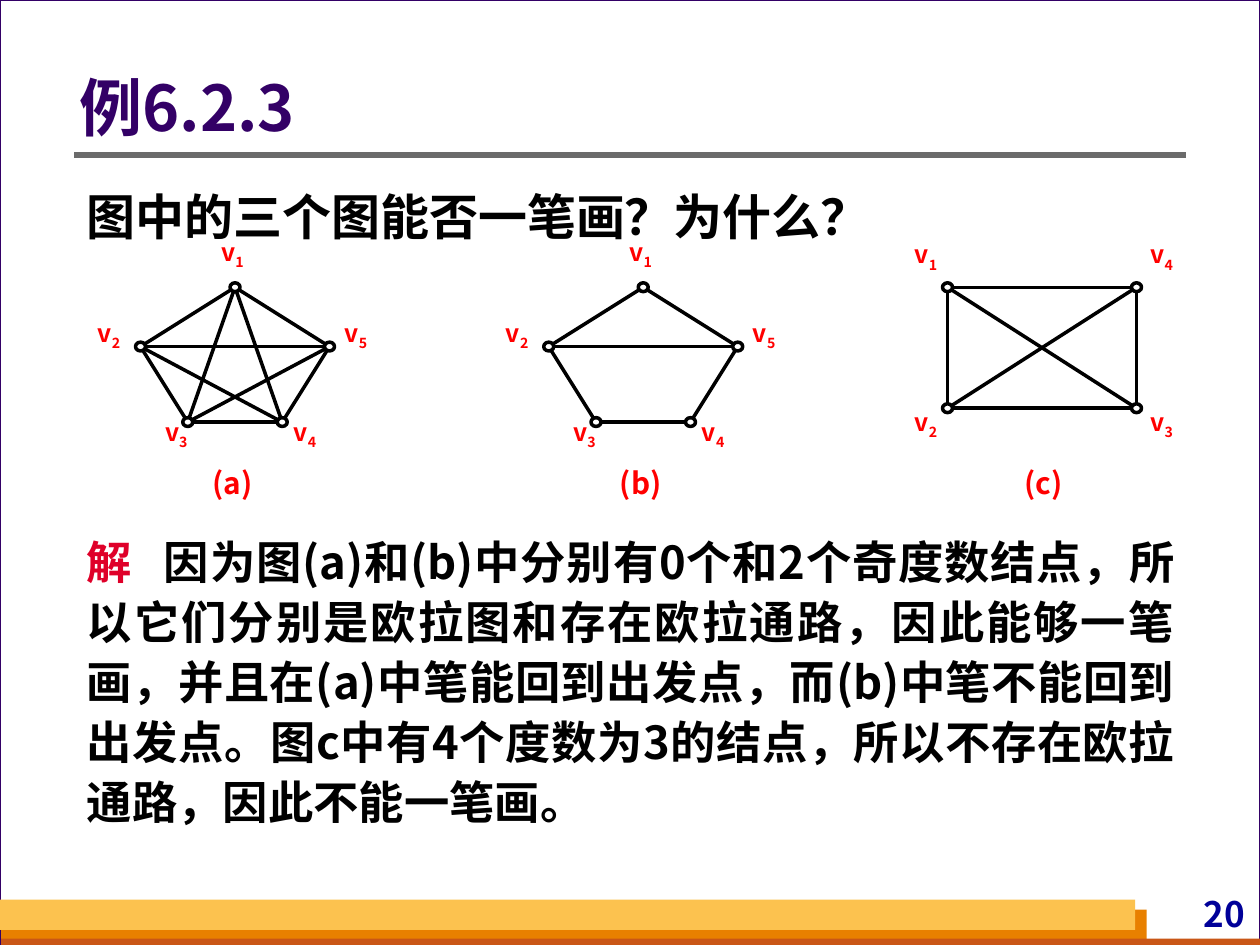
import pptx
import pptx.util
import pptx.dml.color
import pptx.enum.shapes
import pptx.enum.text
import pptx.oxml.ns
from lxml import etree

FONT = "Noto Sans CJK SC"
BLACK, WHITE, RED = "000000", "FFFFFF", "FF0000"
PURPLE = "330066"
ALIGN = pptx.enum.text.PP_ALIGN
ANCHOR = pptx.enum.text.MSO_ANCHOR
SHAPES = pptx.enum.shapes.MSO_SHAPE
qn = pptx.oxml.ns.qn

# Square grid: 100 columns by 75 rows
deck = pptx.Presentation()
deck.slide_width = pptx.util.Inches(10)
deck.slide_height = pptx.util.Inches(7.5)
CELL = deck.slide_width / 100
page = deck.slides.add_slide(deck.slide_layouts[6])


def grid(*cells):
    return [round(cell * CELL) for cell in cells]


def color(hex_text):
    return pptx.dml.color.RGBColor.from_string(hex_text)


def add_area(kind, box, fill, line=None, width=0.75):
    area = page.shapes.add_shape(kind, *grid(*box))
    area.shadow.inherit = False
    area.fill.solid()
    area.fill.fore_color.rgb = color(fill)
    if line:
        area.line.color.rgb = color(line)
        area.line.width = pptx.util.Pt(width)
    else:
        area.line.fill.background()


def add_line(start, end, line=BLACK, width=2):
    rule = page.shapes.add_connector(
        pptx.enum.shapes.MSO_CONNECTOR.STRAIGHT, *grid(*start, *end))
    rule.line.color.rgb = color(line)
    rule.line.width = pptx.util.Pt(width)
    etree.SubElement(rule._element.spPr, qn("a:effectLst"))


def add_text(box, text, size, ink, align=ALIGN.LEFT, spacing=1.0,
             insets=(0, 0), anchor=ANCHOR.TOP, tab=None):
    """Place one paragraph; insets are (sides, top and bottom) in cells."""
    frame = page.shapes.add_textbox(*grid(*box)).text_frame
    frame.word_wrap = True
    frame.vertical_anchor = anchor
    frame.margin_left = frame.margin_right = grid(insets[0])[0]
    frame.margin_top = frame.margin_bottom = grid(insets[1])[0]
    para = frame.paragraphs[0]
    para.alignment = align
    para.line_spacing = spacing
    settings = para._p.get_or_add_pPr()
    settings.set("hangingPunct", "0")
    if tab:
        tabs = etree.SubElement(settings, qn("a:tabLst"))
        etree.SubElement(tabs, qn("a:tab"), pos=str(grid(tab)[0]), algn="l")
    para.font.name = FONT
    para.font.size = pptx.util.Pt(size)
    para.font.bold = True
    para.font.color.rgb = color(ink)
    latin = para.font._element.find(qn("a:latin"))
    latin.addnext(latin.makeelement(qn("a:ea"), typeface=FONT))
    para.add_run().text = text
    return para


def draw_frame(box):
    """Page border, footer bars and page number."""
    left, top, width, height = box
    bottom = top + height
    add_area(SHAPES.RECTANGLE, box, WHITE, PURPLE)
    for inset, rise, span, thick, fill in ((0.1, 2.8, 90.9, 2.8, "E88000"),
                                           (0.1, 0.5, 100, 0.8, "C95616"),
                                           (0, 3.6, 90.1, 2.4, "FCC24F")):
        add_area(SHAPES.RECTANGLE,
                 (left + inset, bottom - rise, span, thick), fill)
    add_text((left + 87, bottom - 4.2, 12.2, 3.3), "20", 20, "000099",
             ALIGN.RIGHT, insets=(0.4, 0))


def draw_heading(box):
    left, top, width, _ = box
    add_line((left, top + 8.5), (left + width, top + 8.5), "6B6B6B", 3)
    add_text(box, "例6.2.3", 36, PURPLE, spacing=0.9, insets=(0.4, 0),
             anchor=ANCHOR.MIDDLE)


def draw_graph(box, nodes, edges, caption, caption_shift=-0.2):
    """Nodes map a number to (share across, share down, label offset)."""
    left, top, width, height = box
    centers = {number: (left + across * width, top + down * height)
               for number, (across, down, _) in nodes.items()}
    for first, second in edges:
        add_line(centers[first], centers[second])
    for number, (x, y) in centers.items():
        add_area(SHAPES.OVAL, (x - 0.4, y - 0.35, 0.8, 0.7), WHITE, BLACK, 2)
        shift_x, shift_y = nodes[number][2]
        label = add_text((x + shift_x - 1.2, y + shift_y - 1.45, 2.4, 2.9),
                         "v", 14, RED, ALIGN.CENTER, 0.8)
        index = label.add_run()
        index.text = str(number)
        index.font._element.set("baseline", "-25000")
    middle = left + width / 2 + caption_shift
    add_text((middle - 1.95, 37.2, 3.9, 5.8), caption, 17, RED,
             ALIGN.CENTER, 0.9)


def draw_question(box):
    add_text(box, "图中的三个图能否一笔画？为什么？", 28, BLACK,
             ALIGN.JUSTIFY, 1.2, (1, 0.5))


def draw_answer(box):
    para = add_text(box, "解", 25.9, BLACK, ALIGN.JUSTIFY, 1.1, (1, 0.5),
                    tab=6)
    para.runs[0].font.color.rgb = color("DF0029")
    para.add_run().text = (
        "\t因为图(a)和(b)中分别有0个和2个奇度数结点，所以它们分别是欧拉图"
        "和存在欧拉通路，因此能够一笔画，并且在(a)中笔能回到出发点，"
        "而(b)中笔不能回到出发点。图c中有4个度数为3的结点，"
        "所以不存在欧拉通路，因此不能一笔画。")


PENTAGON = {1: (0.5, 0, (-0.2, -2.3)), 2: (0, 0.44, (-2.5, -0.6)),
            3: (0.25, 1, (-0.9, 1.3)), 4: (0.75, 1, (1.8, 1.3)),
            5: (1, 0.44, (2.1, -0.6))}
RECTANGLE = {1: (0, 0, (-1.7, -2.1)), 2: (0, 1, (-1.7, 1.6)),
             3: (1, 1, (2, 1.6)), 4: (1, 0, (2, -2.1))}
HOUSE = [(1, 2), (2, 3), (3, 4), (4, 5), (5, 1), (2, 5)]
STAR = HOUSE + [(1, 3), (1, 4), (2, 4), (3, 5)]
CROSSED = [(1, 2), (2, 3), (3, 4), (4, 1), (1, 3), (2, 4)]

draw_frame((0, 0, 100, 75))
draw_heading((5.9, 3.8, 88.2, 10.1))
draw_question((5.9, 13.4, 88.2, 6.6))
draw_graph((11.15, 22.8, 15, 10.7), PENTAGON, STAR, "(a)")
draw_graph((43.55, 22.8, 15, 10.7), PENTAGON, HOUSE, "(b)")
draw_graph((75.2, 22.8, 15, 9.6), RECTANGLE, CROSSED, "(c)", 0.1)
draw_answer((5.9, 41.5, 88.3, 29))

deck.save("out.pptx")
